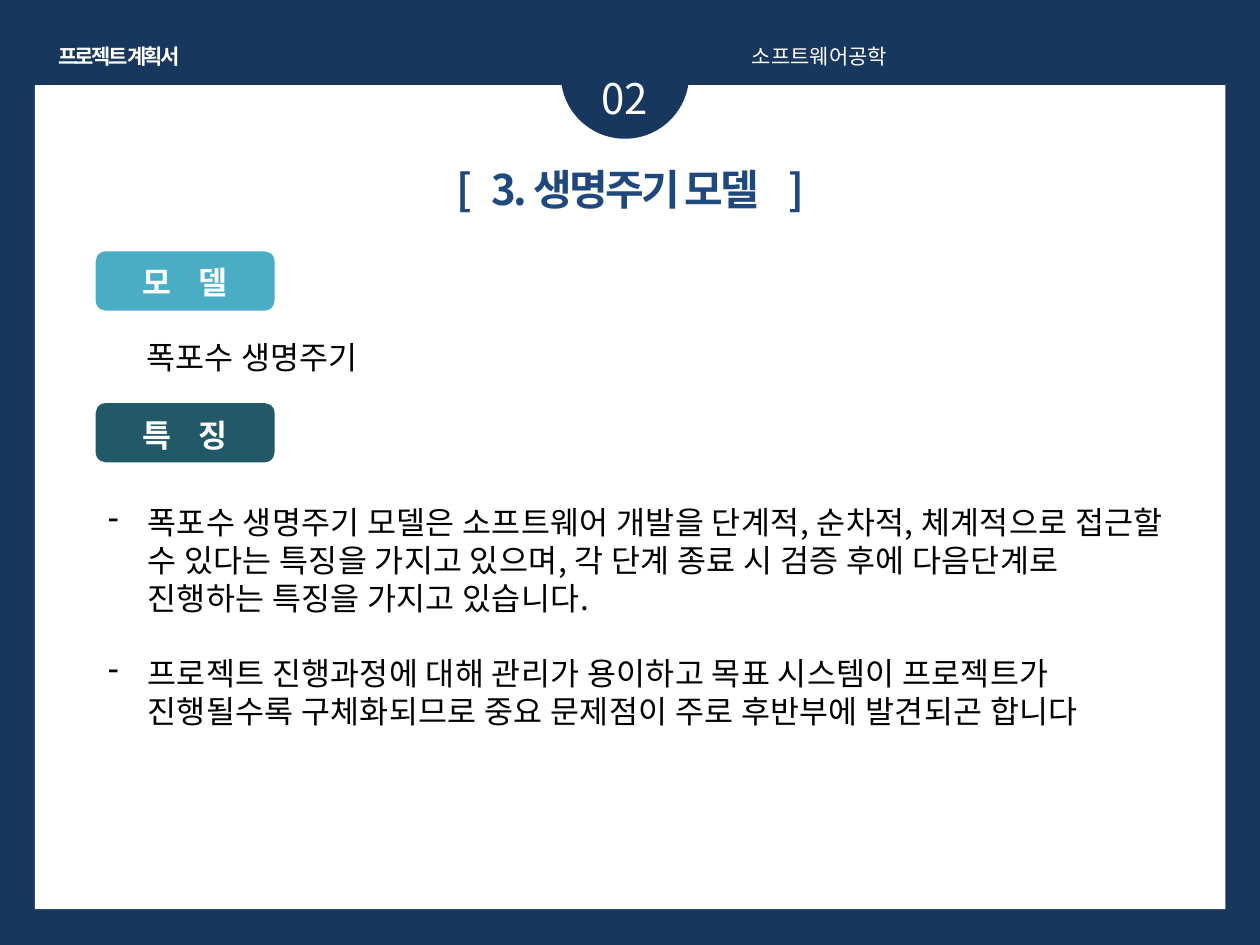
from lxml.etree import SubElement
from pptx import Presentation
from pptx.dml.color import RGBColor
from pptx.enum.shapes import MSO_SHAPE
from pptx.enum.text import MSO_AUTO_SIZE, PP_ALIGN
from pptx.oxml.ns import qn
from pptx.util import Pt

NAVY = RGBColor(0x17, 0x37, 0x5E)
BLUE = RGBColor(0x1F, 0x49, 0x7D)
AQUA = RGBColor(0x4B, 0xAC, 0xC6)
TEAL = RGBColor(0x21, 0x59, 0x68)
WHITE = RGBColor(0xFF, 0xFF, 0xFF)
BLACK = RGBColor(0, 0, 0)
FONT = "Noto Sans CJK KR"

TIGHT = -1.5
LOOSE = 0.2
WIDE = 11.5
HEADER = [("프로젝트 계획서", TIGHT)]
COURSE = [("소프트웨어공학", 0)]
NUMBER = [("02", 0)]
TITLE = [("[", TIGHT), (" ", 5.2), ("3. 생명주기 모델", TIGHT), (" ", 11), ("]", TIGHT)]
MODEL = [("폭포수 생명주기", LOOSE / 2)]
TAGS = [
    (143.7, 146.6, AQUA, [("모", 0), (" ", WIDE), ("델", 0)]),
    (230.4, 234, TEAL, [("특", 0), (" ", WIDE), ("징", 0)]),
]
FEATURES = [
    "폭포수 생명주기 모델은 소프트웨어 개발을 단계적, 순차적, 체계적으로 접근할 수 있다는 "
    "특징을 가지고 있으며, 각 단계 종료 시 검증 후에 다음단계로 진행하는 특징을 가지고 있습니다.",
    "프로젝트 진행과정에 대해 관리가 용이하고 목표 시스템이 프로젝트가 진행될수록 "
    "구체화되므로 중요 문제점이 주로 후반부에 발견되곤 합니다",
]

deck = Presentation()
deck.slide_width, deck.slide_height = Pt(720), Pt(540)
page = deck.slides.add_slide(deck.slide_layouts[6])
page.background.fill.solid()
page.background.fill.fore_color.rgb = NAVY


def add_block(kind, left, top, width, height, color):
    block = page.shapes.add_shape(kind, Pt(left), Pt(top), Pt(width), Pt(height))
    block.shadow.inherit = False
    block.fill.solid()
    block.fill.fore_color.rgb = color
    block.line.fill.background()


def add_box(left, top, width, height, wrap=True):
    box = page.shapes.add_textbox(Pt(left), Pt(top), Pt(width), Pt(height))
    box.text_frame.word_wrap = wrap
    box.text_frame.auto_size = MSO_AUTO_SIZE.SHAPE_TO_FIT_TEXT
    return box.text_frame


def add_spans(para, spans, size, color, bold=False):
    for text, spacing in spans:
        span = para.add_run()
        span.text = text
        span.font.size = Pt(size)
        span.font.bold = bold
        span.font.color.rgb = color
        span.font.name = FONT
        properties = span.font._element
        SubElement(properties, qn("a:ea")).set("typeface", FONT)
        if spacing:
            properties.set("spc", str(round(spacing * 100)))


def add_label(place, spans, size, color, align, bold=False, wrap=True):
    para = add_box(*place, wrap).paragraphs[0]
    para.alignment = align
    add_spans(para, spans, size, color, bold)


def add_dash(para):
    properties = para._p.get_or_add_pPr()
    properties.set("marL", str(Pt(22.5)))
    properties.set("indent", str(Pt(-22.5)))
    SubElement(properties, qn("a:buChar")).set("char", "-")


add_block(MSO_SHAPE.RECTANGLE, 19.9, 48.7, 680.4, 470.8, WHITE)
add_block(MSO_SHAPE.OVAL, 320.4, 5.9, 73.4, 73.4, NAVY)
add_label((20.9, 21.3, 94.3, 21.8), HEADER, 12, WHITE, PP_ALIGN.CENTER, True, False)
add_label((314.6, 37.7, 85, 36.4), NUMBER, 24, WHITE, PP_ALIGN.CENTER)
add_label((422.6, 21.3, 283.7, 21.8), COURSE, 12, WHITE, PP_ALIGN.JUSTIFY)
add_label((190.3, 90, 340, 36.4), TITLE, 24, BLUE, PP_ALIGN.CENTER, True)

for top, text_top, color, spans in TAGS:
    add_block(MSO_SHAPE.ROUNDED_RECTANGLE, 54.7, top, 102.2, 33.8, color)
    add_label((69.1, text_top, 73.4, 29.1), spans, 18, WHITE, PP_ALIGN.CENTER, True)

add_label((76.6, 189.4, 425.5, 29.1), MODEL, 18, BLACK, PP_ALIGN.LEFT)

features = add_box(54.7, 284, 628.6, 138.2)
for index, text in enumerate(FEATURES):
    para = features.add_paragraph() if index else features.paragraphs[0]
    add_dash(para)
    if index:
        para.space_before = Pt(21.6)
    add_spans(para, [(text, LOOSE)], 18, BLACK)

deck.save("out.pptx")
